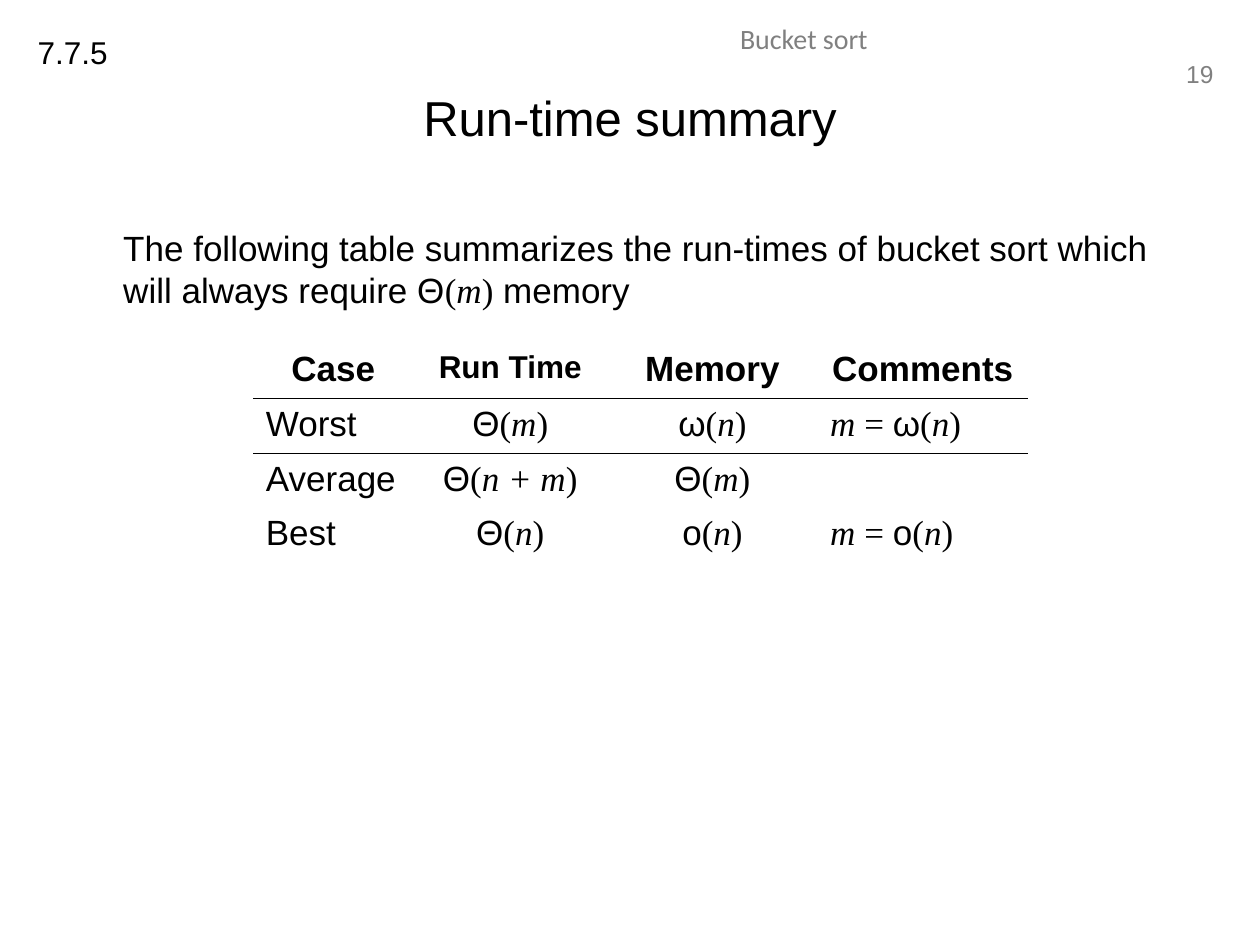
from lxml import etree
from pptx import Presentation
from pptx.dml.color import RGBColor
from pptx.enum.text import MSO_ANCHOR, PP_ALIGN
from pptx.oxml.ns import qn
from pptx.util import Inches, Pt

LEFT, CENTER, RIGHT = PP_ALIGN.LEFT, PP_ALIGN.CENTER, PP_ALIGN.RIGHT
TOP, MIDDLE = MSO_ANCHOR.TOP, MSO_ANCHOR.MIDDLE

THEME = {
    "sans": "Arial", "serif": "Times New Roman", "header": "Calibri",
    "ink": "000000", "muted": "808080",
    "title": 28, "body": 20, "small": 18, "running": 16, "number": 14,
    "rule": 1,
}
NO_TABLE_STYLE = "{2D5ABB26-0587-4C30-8999-92F81FD0307C}"

PLAIN, UPRIGHT, ITALIC = "plain", "upright", "italic"


def bound(symbol, argument):
    """Spans for an asymptotic bound such as Θ(m)."""
    return [(symbol, PLAIN), ("(", UPRIGHT), (argument, ITALIC), (")", UPRIGHT)]


def condition(symbol):
    return [("m", ITALIC), (" = ", UPRIGHT)] + bound(symbol, "n")


def words(text):
    return [(text, PLAIN)]


INTRO = (words("The following table summarizes the run-times of bucket sort "
               "which will always require ")
         + bound("Θ", "m") + words(" memory"))
HEADINGS = ["Case", "Run Time", "Memory", "Comments"]
HEADING_SIZES = ["body", "small", "body", "body"]
CASES = [
    (words("Worst"), bound("Θ", "m"), bound("ω", "n"), condition("ω")),
    (words("Average"), bound("Θ", "n + m"), bound("Θ", "m"), []),
    (words("Best"), bound("Θ", "n"), bound("ο", "n"), condition("ο")),
]
COLUMN_ALIGN = [LEFT, CENTER, CENTER, LEFT]
COLUMN_WIDTHS = [1.27, 1.54, 1.67, 1.67]
ROW_HEIGHT = 0.43
TABLE_LEFT, TABLE_TOP = 2.01, 2.73

# text, (left, top, width, height), size, font, colour, alignment, anchor, wrap
BOXES = [
    (words("19"), (9.29, 0.42, 0.44, 0.33), "number", "sans", "muted", RIGHT, TOP, False),
    (words("Bucket sort"), (3.19, 0.12, 6.38, 0.4), "running", "header", "muted", CENTER, TOP, True),
    (words("Run-time summary"), (0.5, 0.3, 9, 1.25), "title", "sans", "ink", CENTER, MIDDLE, True),
    (INTRO, (0.5, 1.75, 9, 4.95), "body", "sans", "ink", LEFT, TOP, True),
    (words("7.7.5"), (0.2, 0.21, 0.76, 0.4), "small", "sans", "ink", LEFT, TOP, False),
]
INTRO_INDENT = 0.38


def write(para, spans, size="body", font="sans", colour="ink", align=LEFT, bold=False):
    para.alignment = align
    for text, style in spans:
        span = para.add_run()
        span.text = text
        span.font.name = THEME[font if style == PLAIN else "serif"]
        span.font.size = Pt(THEME[size])
        span.font.color.rgb = RGBColor.from_string(THEME[colour])
        span.font.bold = bold
        span.font.italic = style == ITALIC


def add_box(page, spans, place, size, font, colour, align, anchor, wrap):
    frame = page.shapes.add_textbox(*map(Inches, place)).text_frame
    frame.word_wrap = wrap
    frame.vertical_anchor = anchor
    para = frame.paragraphs[0]
    write(para, spans, size, font, colour, align)
    if spans is INTRO:
        para._p.get_or_add_pPr().set("marL", str(Inches(INTRO_INDENT)))


def add_rule(cell, side):
    """Draw one cell border; side is lnT or lnB."""
    line = etree.Element(qn(f"a:{side}"), w=str(Pt(THEME["rule"])))
    fill = etree.SubElement(line, qn("a:solidFill"))
    etree.SubElement(fill, qn("a:srgbClr"), val=THEME["ink"])
    cell._tc.get_or_add_tcPr().insert(0, line)


def add_case_table(page):
    row_count = len(CASES) + 1
    table = page.shapes.add_table(
        row_count, len(HEADINGS), Inches(TABLE_LEFT), Inches(TABLE_TOP),
        Inches(sum(COLUMN_WIDTHS)), Inches(ROW_HEIGHT * row_count)).table
    table._tbl.tblPr.find(qn("a:tableStyleId")).text = NO_TABLE_STYLE
    table.first_row = table.horz_banding = False
    for row in table.rows:
        row.height = Inches(ROW_HEIGHT)
    for index, width in enumerate(COLUMN_WIDTHS):
        table.columns[index].width = Inches(width)
        heading = table.cell(0, index)
        write(heading.text_frame.paragraphs[0], words(HEADINGS[index]),
              HEADING_SIZES[index], align=CENTER, bold=True)
        for row, case in enumerate(CASES, start=1):
            write(table.cell(row, index).text_frame.paragraphs[0], case[index],
                  align=COLUMN_ALIGN[index])
        add_rule(heading, "lnB")
        add_rule(table.cell(1, index), "lnT")
    for cell in table.iter_cells():
        cell.fill.background()


def main():
    deck = Presentation()
    deck.slide_width, deck.slide_height = Inches(10), Inches(7.5)
    page = deck.slides.add_slide(deck.slide_layouts[6])
    for box in BOXES:
        add_box(page, *box)
    add_case_table(page)
    deck.save("out.pptx")


if __name__ == "__main__":
    main()
